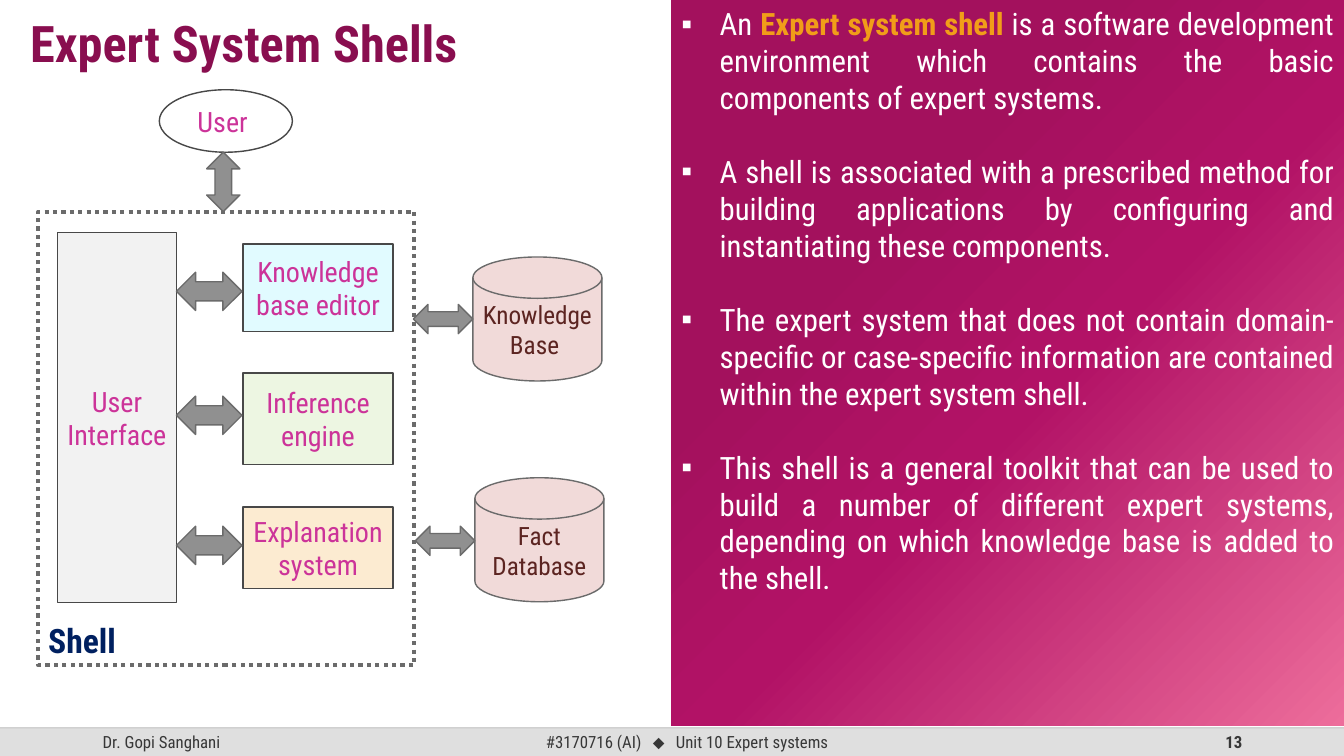
from dataclasses import dataclass

from lxml import etree
from pptx import Presentation
from pptx.dml.color import RGBColor
from pptx.enum import dml, shapes, text
from pptx.oxml import ns, parse_xml
from pptx.util import Inches, Pt

KIND = shapes.MSO_SHAPE
ALIGN = text.PP_ALIGN
MID = text.MSO_ANCHOR.MIDDLE
TOP = text.MSO_ANCHOR.TOP


@dataclass(frozen=True)
class Theme:
    font: str = "Roboto Condensed"
    title: str = "890E4F"
    label: str = "CC3399"
    store: str = "5C2421"
    navy: str = "002060"
    white: str = "FFFFFF"
    accent: str = "F19D19"
    foot: str = "373737"
    bar: str = "DFDFDF"
    rule: str = "BFBFBF"
    edge: str = "484848"
    grey: str = "6B6B6B"
    arrow: str = "909090"
    disk: str = "F1DAD9"
    stops: tuple = ((30, "A3115D"), (55, "B21266"), (100, "ED6D9B"))
    head: int = 36
    sub: int = 24
    body: int = 22
    box: int = 20
    drum: int = 18
    small: int = 12


T = Theme()


def rgb(code):
    return RGBColor.from_string(code)


def write(frame, paras, size=T.box, color=T.label, bold=False, align=ALIGN.LEFT,
          anchor=MID, space=None, after=0, bullet=None):
    """Each paragraph is a string or a list of (text, overrides) runs."""
    frame.word_wrap = True
    frame.vertical_anchor = anchor
    for i, runs in enumerate(paras):
        para = frame.paragraphs[0] if i == 0 else frame.add_paragraph()
        para.alignment = align
        para.space_after = Pt(after)
        if space:
            para.line_spacing = space
        if bullet:
            mark(para, bullet)
        for words, diff in [(runs, {})] if isinstance(runs, str) else runs:
            run = para.add_run()
            run.text = words
            run.font.name = diff.get("font", T.font)
            run.font.size = Pt(size)
            run.font.bold = diff.get("bold", bold)
            run.font.color.rgb = rgb(diff.get("color", color))
            if "gap" in diff:
                run.font._element.set("spc", str(diff["gap"]))


def mark(para, sign):
    """Give a paragraph a hanging bullet."""
    props = para._p.get_or_add_pPr()
    indent = Inches(0.38)
    props.set("marL", str(indent))
    props.set("indent", str(-indent))
    etree.SubElement(props, ns.qn("a:buFont")).set("typeface", "Arial")
    etree.SubElement(props, ns.qn("a:buChar")).set("char", sign)


def shape(slide, kind, x, y, w, h, fill=None, line=None, width=1):
    item = slide.shapes.add_shape(kind, Inches(x), Inches(y), Inches(w), Inches(h))
    item.shadow.inherit = False
    if fill:
        item.fill.solid()
        item.fill.fore_color.rgb = rgb(fill)
    else:
        item.fill.background()
    if line:
        item.line.color.rgb = rgb(line)
        item.line.width = Pt(width)
    else:
        item.line.fill.background()
    return item


def label(slide, words, x, y, w, h, **style):
    frame = slide.shapes.add_textbox(Inches(x), Inches(y), Inches(w), Inches(h)).text_frame
    write(frame, [words], **style)
    return frame


def node(slide, words, kind, x, y, w, h, fill=None, line=T.edge, **style):
    """Draw a labelled part, with narrow side margins so that long words fit."""
    item = shape(slide, kind, x, y, w, h, fill, line)
    frame = item.text_frame
    frame.margin_left = frame.margin_right = Inches(0.05)
    write(frame, [words], align=ALIGN.CENTER, **style)


def arrow(slide, x, y, w, h, turn=0):
    item = shape(slide, KIND.LEFT_RIGHT_ARROW, x, y, w, h, T.arrow, T.grey)
    item.rotation = turn


def blend(item):
    """Fill with circles of colour that spread from the top left corner."""
    stops = "".join(f'<a:gs pos="{at * 1000}"><a:srgbClr val="{code}"/></a:gs>'
                    for at, code in T.stops)
    item.fill.gradient()
    old = item._element.spPr.find(ns.qn("a:gradFill"))
    new = parse_xml(
        f'<a:gradFill {ns.nsdecls("a")} rotWithShape="1"><a:gsLst>{stops}</a:gsLst>'
        '<a:path path="circle"><a:fillToRect r="100000" b="100000"/></a:path></a:gradFill>')
    old.getparent().replace(old, new)


def footer(slide):
    y, h = 7.22, 0.28
    style = dict(size=T.small, color=T.foot)
    gap = (" ", {"gap": 530})
    shape(slide, KIND.RECTANGLE, 0, y, 13.33, h, T.bar)
    label(slide, "Dr. Gopi Sanghani", 0.92, y, 3, h, **style)
    course = [("#3170716 (AI)", {}), gap, ("⬥", {"font": "Arial"}), gap,
              ("Unit 10 Expert systems", {})]
    label(slide, course, 4.42, y, 4.79, h, align=ALIGN.CENTER, **style)
    label(slide, "13", 9.42, y, 3, h, align=ALIGN.RIGHT, bold=True, **style)
    rule = slide.shapes.add_connector(shapes.MSO_CONNECTOR.STRAIGHT, 0, Inches(y),
                                      Inches(13.33), Inches(y))
    rule.line.color.rgb = rgb(T.rule)
    rule.line.width = Pt(1)
    props = rule._element.spPr
    tint = next(props.iter(ns.qn("a:srgbClr")))
    etree.SubElement(tint, ns.qn("a:alpha")).set("val", "70000")
    etree.SubElement(props, ns.qn("a:effectLst"))


def panel(slide):
    item = shape(slide, KIND.RECTANGLE, 6.66, 0, 6.67, 7.2)
    blend(item)
    points = [
        [("An ", {}), ("Expert system shell", {"color": T.accent, "bold": True}),
         (" is a software development environment which contains the basic "
          "components of expert systems. ", {})],
        "A shell is associated with a prescribed method for building applications "
        "by configuring and instantiating these components.",
        "The expert system that does not contain domain-specific or case-specific "
        "information are contained within the expert system shell.",
        "This shell is a general toolkit that can be used to build a number of "
        "different expert systems, depending on which knowledge base is added to the shell.",
    ]
    write(item.text_frame, points, size=T.body, color=T.white, align=ALIGN.JUSTIFY,
          anchor=TOP, after=26.4, bullet="▪")


def diagram(slide):
    node(slide, "User Interface", KIND.RECTANGLE, 0.57, 2.31, 1.18, 3.67, "F2F2F2")
    parts = [("Knowledge base editor", 2.42, 0.87, "E1FBFF", 2.7),
             ("Inference engine", 3.7, 0.91, "EDF6E2", 3.93),
             ("Explanation system", 5.03, 0.81, "FCEBD1", 5.22)]
    for words, y, h, fill, link in parts:
        node(slide, words, KIND.RECTANGLE, 2.41, y, 1.49, h, fill)
        arrow(slide, 1.75, link, 0.65, 0.38)
    node(slide, "User ", KIND.OVAL, 1.58, 0.89, 1.32, 0.62)
    frame = shape(slide, KIND.RECTANGLE, 0.38, 2.1, 3.73, 4.5, line=T.grey, width=3)
    frame.line.dash_style = dml.MSO_LINE.ROUND_DOT
    label(slide, "Shell", 0.38, 6.1, 0.98, 0.5, size=T.sub, color=T.navy,
          bold=True, anchor=TOP)
    for words, x, y, link in [("Knowledge Base ", 4.69, 2.55, 3.02),
                              ("Fact Database", 4.71, 4.74, 5.22)]:
        node(slide, words, KIND.FLOWCHART_MAGNETIC_DISK, x, y, 1.28, 1.23, T.disk,
             T.grey, size=T.drum, color=T.store)
        arrow(slide, x - 0.59, link, 0.59, 0.29)
    arrow(slide, 1.92, 1.64, 0.59, 0.33, turn=270)


def main():
    deck = Presentation()
    deck.slide_width, deck.slide_height = Inches(13.33), Inches(7.5)
    slide = deck.slides.add_slide(deck.slide_layouts[6])
    footer(slide)
    panel(slide)
    title = label(slide, "Expert System Shells", 0, 0.13, 6.67, 0.65, size=T.head,
                  color=T.title, bold=True, space=0.9)
    title.margin_left = Inches(0.3)
    diagram(slide)
    deck.save("out.pptx")


if __name__ == "__main__":
    main()
